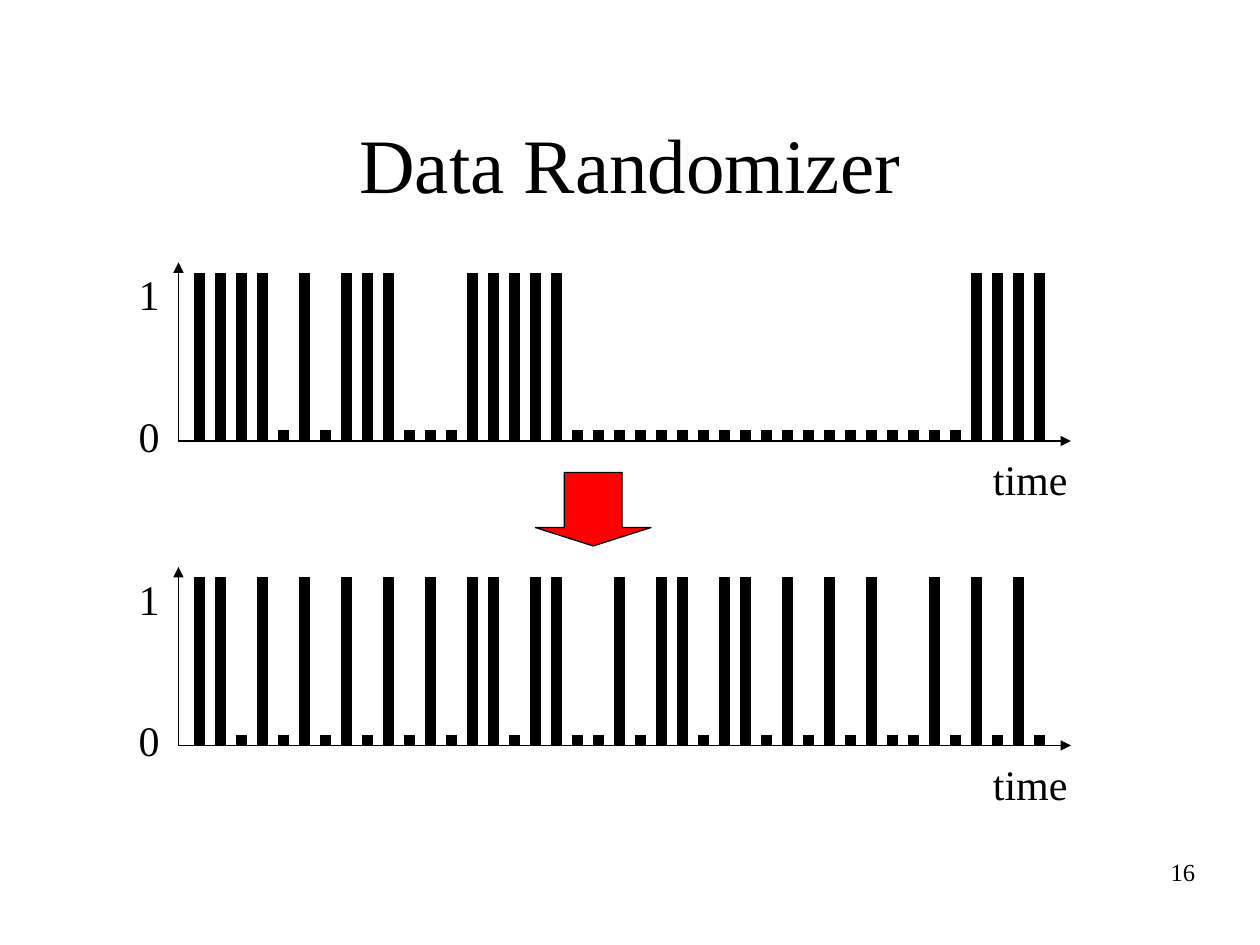
"""Build the Data Randomizer slide: a bit stream before and after randomizing."""
from pptx import Presentation
from pptx.dml.color import RGBColor
from pptx.enum.shapes import MSO_CONNECTOR, MSO_SHAPE
from pptx.enum.text import MSO_ANCHOR, MSO_AUTO_SIZE, PP_ALIGN
from pptx.oxml.ns import qn
from pptx.util import Emu, Pt
from lxml import etree

STRAIGHT = MSO_CONNECTOR.STRAIGHT
DOWN_ARROW = MSO_SHAPE.DOWN_ARROW
TOP, MIDDLE = MSO_ANCHOR.TOP, MSO_ANCHOR.MIDDLE
LEFT, CENTER, RIGHT = PP_ALIGN.LEFT, PP_ALIGN.CENTER, PP_ALIGN.RIGHT
FIT_SHAPE, FIT_NONE = MSO_AUTO_SIZE.SHAPE_TO_FIT_TEXT, MSO_AUTO_SIZE.NONE

TITLE = "Data Randomizer"
PAGE_NUMBER = "16"
STREAMS = [
    (336, "11110101110001111100000000000000000001111"),
    (568, "11010101010101101100101101101010100101010"),
]
LABELS = [
    ("0", 96, -28, 35, RIGHT),
    ("1", 96, -136, 35, RIGHT),
    ("time", 747, 5, 76, CENTER),
]
FONT = "Times New Roman"
BLACK, RED = "000000", "FF0000"
AXIS_LEFT, AXIS_RIGHT, AXIS_HEIGHT = 136, 816, 136
BIT_STEP = 16
BIT_HEIGHTS = {"1": 128, "0": 8}


def px(length):
    return Emu(length * 9525)


def color(value):
    return RGBColor.from_string(value)


def write(shape, text, size=24, align=LEFT, anchor=TOP, wrap=False, fit=FIT_SHAPE):
    frame = shape.text_frame
    frame.word_wrap = wrap
    frame.auto_size = fit
    frame.vertical_anchor = anchor
    paragraph = frame.paragraphs[0]
    paragraph.alignment = align
    run = paragraph.add_run()
    run.text = text
    run.font.name = FONT
    run.font.size = Pt(size)
    run.font.color.rgb = color(BLACK)


def add_text(shapes, text, left, top, width, height, **text_format):
    box = shapes.add_textbox(px(left), px(top), px(width), px(height))
    write(box, text, **text_format)


def add_line(shapes, start, end, width, arrow=False):
    line = shapes.add_connector(STRAIGHT, *map(px, start + end))
    line.line.color.rgb = color(BLACK)
    line.line.width = Pt(width)
    properties = line._element.spPr
    etree.SubElement(properties, qn("a:effectLst"))
    if arrow:
        etree.SubElement(properties.find(qn("a:ln")), qn("a:tailEnd"), type="triangle")


def add_stream(shapes, base, bits):
    origin = (AXIS_LEFT, base)
    add_line(shapes, origin, (AXIS_LEFT, base - AXIS_HEIGHT), 0.75, arrow=True)
    add_line(shapes, origin, (AXIS_RIGHT, base), 0.75, arrow=True)
    for text, left, offset, width, align in LABELS:
        add_text(shapes, text, left, base + offset, width, 48, align=align)
    bars = shapes.add_group_shape().shapes
    for position, bit in enumerate(bits, start=1):
        x = AXIS_LEFT + position * BIT_STEP
        add_line(bars, (x, base - BIT_HEIGHTS[bit]), (x, base), 6)


def main():
    presentation = Presentation()
    presentation.slide_width, presentation.slide_height = px(960), px(720)
    slide = presentation.slides.add_slide(presentation.slide_layouts[5])
    shapes = slide.shapes

    title = shapes.title
    title.left, title.top, title.width, title.height = map(px, (72, 64, 816, 120))
    write(title, TITLE, size=44, align=CENTER, anchor=MIDDLE, wrap=True, fit=FIT_NONE)

    for base, bits in STREAMS:
        add_stream(shapes, base, bits)

    arrow = shapes.add_shape(DOWN_ARROW, *map(px, (408, 360, 88, 56)))
    arrow.adjustments[0], arrow.adjustments[1] = 0.5, 0.25
    arrow.shadow.inherit = False
    arrow.fill.solid()
    arrow.fill.fore_color.rgb = color(RED)
    arrow.line.color.rgb = color(BLACK)
    arrow.line.width = Pt(0.75)

    add_text(shapes, PAGE_NUMBER, 720, 648, 200, 48,
             size=14, align=RIGHT, wrap=True, fit=FIT_NONE)
    presentation.save("out.pptx")


if __name__ == "__main__":
    main()
